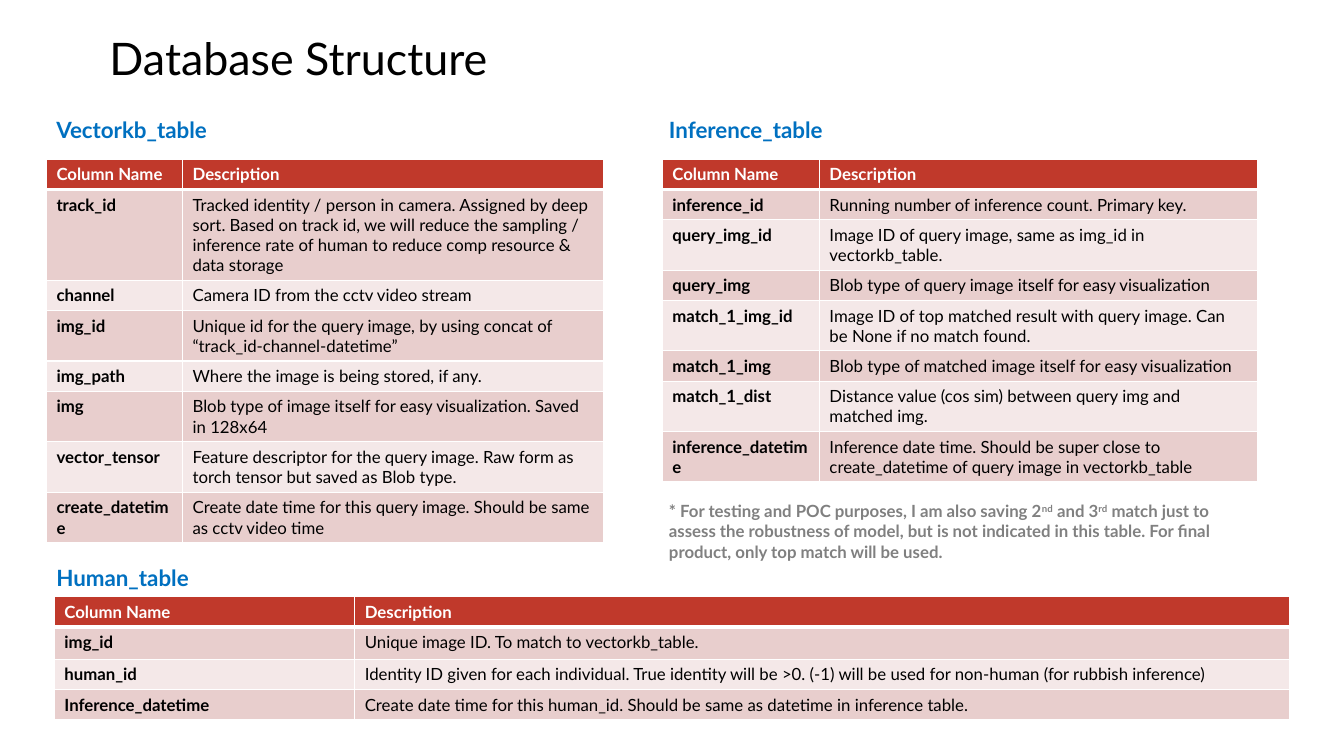
import dataclasses

import pptx
import pptx.dml.color
import pptx.enum.text
import pptx.oxml.ns
import pptx.util
import lxml.etree

Cm = pptx.util.Cm


@dataclasses.dataclass(frozen=True)
class Theme:
    font: str = "Lato"
    black: str = "000000"
    white: str = "FFFFFF"
    blue: str = "0070C0"
    gray: str = "808080"
    header: str = "C0392B"
    bands: tuple = ("E8CECD", "F4E8E8")
    title_size: int = 32
    heading_size: int = 16
    body_size: int = 12
    thin: int = 1
    thick: int = 3
    cell_padding: float = 0.25
    line_height: float = 0.51


def rgb(color):
    return pptx.dml.color.RGBColor.from_string(color)


def add_text(para, text, *, font, size, color, bold=False, raised=False):
    span = para.add_run()
    span.text = text
    span.font.name = font
    span.font.size = pptx.util.Pt(size)
    span.font.bold = bold
    span.font.color.rgb = rgb(color)
    if raised:
        span.font._element.set("baseline", "30000")


class SlideBuilder:
    def __init__(self, slide, theme):
        self.slide = slide
        self.theme = theme

    def text_box(self, left, top, width, height):
        box = self.slide.shapes.add_textbox(Cm(left), Cm(top), Cm(width), Cm(height))
        box.text_frame.word_wrap = True
        return box.text_frame

    def title(self, text):
        frame = self.text_box(2.51, 0, 25.4, 2.26)
        frame.vertical_anchor = pptx.enum.text.MSO_ANCHOR.BOTTOM
        para = frame.paragraphs[0]
        para.line_spacing = 0.9
        add_text(para, text, font=self.theme.font, size=self.theme.title_size,
                 color=self.theme.black)

    def heading(self, text, left, top):
        frame = self.text_box(left, top, 7.54, 0.94)
        add_text(frame.paragraphs[0], text, font=self.theme.font,
                 size=self.theme.heading_size, color=self.theme.blue, bold=True)

    def note(self, parts, left, top, width, height):
        """Write parts in turn, every second one as superscript."""
        para = self.text_box(left, top, width, height).paragraphs[0]
        for index, part in enumerate(parts):
            add_text(para, part, font=self.theme.font, size=self.theme.body_size,
                     color=self.theme.gray, bold=True, raised=index % 2 == 1)

    def borders(self, cell, row):
        properties = cell._tc.get_or_add_tcPr()
        heavy_side = {0: "lnB", 1: "lnT"}.get(row)
        for side in ("lnL", "lnR", "lnT", "lnB"):
            weight = self.theme.thick if side == heavy_side else self.theme.thin
            line = lxml.etree.SubElement(properties, pptx.oxml.ns.qn(f"a:{side}"),
                                         w=str(pptx.util.Pt(weight)))
            fill = lxml.etree.SubElement(line, pptx.oxml.ns.qn("a:solidFill"))
            lxml.etree.SubElement(fill, pptx.oxml.ns.qn("a:srgbClr"), val=self.theme.white)

    def table(self, left, top, widths, fields):
        """Each field is a column name, its description and its height in lines."""
        theme = self.theme
        rows = [("Column Name", "Description", 1)] + fields
        heights = [theme.cell_padding + theme.line_height * lines for *_, lines in rows]
        table = self.slide.shapes.add_table(
            len(rows), len(widths), Cm(left), Cm(top),
            Cm(sum(widths)), Cm(sum(heights))).table
        for column, width in zip(table.columns, widths):
            column.width = Cm(width)
        for row, (name, description, _) in enumerate(rows):
            table.rows[row].height = Cm(heights[row])
            is_header = row == 0
            for column, text in enumerate((name, description)):
                cell = table.cell(row, column)
                self.borders(cell, row)
                cell.fill.solid()
                cell.fill.fore_color.rgb = rgb(
                    theme.header if is_header else theme.bands[(row - 1) % 2])
                add_text(cell.text_frame.paragraphs[0], text, font=theme.font,
                         size=theme.body_size, bold=is_header or column == 0,
                         color=theme.white if is_header else theme.black)


VECTOR_FIELDS = [
    ("track_id", "Tracked identity / person in camera. Assigned by deep sort. Based on "
     "track id, we will reduce the sampling / inference rate of human to reduce comp "
     "resource & data storage", 4),
    ("channel", "Camera ID from the cctv video stream", 1),
    ("img_id", "Unique id for the query image, by using concat of "
     "“track_id-channel-datetime”", 2),
    ("img_path", "Where the image is being stored, if any.", 1),
    ("img", "Blob type of image itself for easy visualization. Saved in 128x64", 2),
    ("vector_tensor", "Feature descriptor for the query image. Raw form as torch tensor "
     "but saved as Blob type.", 2),
    ("create_datetime", "Create date time for this query image. Should be same as cctv "
     "video time", 2),
]
INFERENCE_FIELDS = [
    ("inference_id", "Running number of inference count. Primary key.", 1),
    ("query_img_id", "Image ID of query image, same as img_id in vectorkb_table.", 2),
    ("query_img", "Blob type of query image itself for easy visualization", 1),
    ("match_1_img_id", "Image ID of top matched result with query image. Can be None if "
     "no match found.", 2),
    ("match_1_img", "Blob type of matched image itself for easy visualization", 1),
    ("match_1_dist", "Distance value (cos sim) between query img and matched img.", 2),
    ("inference_datetime", "Inference date time. Should be super close to "
     "create_datetime of query image in vectorkb_table", 2),
]
HUMAN_FIELDS = [
    ("img_id", "Unique image ID. To match to vectorkb_table.", 1.1),
    ("human_id", "Identity ID given for each individual. True identity will be >0. (-1) "
     "will be used for non-human (for rubbish inference)", 1),
    ("Inference_datetime", "Create date time for this human_id. Should be same as "
     "datetime in inference table.", 1),
]
NOTE_PARTS = [
    "* For testing and POC purposes, I am also saving 2", "nd", " and 3", "rd",
    " match just to assess the robustness of model, but is not indicated in this table. "
    "For final product, only top match will be used.",
]


def main():
    deck = pptx.Presentation()
    deck.slide_width, deck.slide_height = Cm(33.87), Cm(19.05)
    page = SlideBuilder(deck.slides.add_slide(deck.slide_layouts[6]), Theme())

    page.title("Database Structure")

    # Vector table, upper left
    page.heading("Vectorkb_table", 1.17, 2.79)
    page.table(1.17, 4.01, (3.43, 10.62), VECTOR_FIELDS)

    # Inference table and its note, upper right
    page.heading("Inference_table", 16.61, 2.79)
    page.table(16.69, 4.01, (3.96, 11.05), INFERENCE_FIELDS)
    page.note(NOTE_PARTS, 16.61, 12.5, 15.09, 1.8)

    # Human table, along the bottom
    page.heading("Human_table", 1.17, 14.1)
    page.table(1.37, 15.04, (7.57, 23.57), HUMAN_FIELDS)

    deck.save("out.pptx")


if __name__ == "__main__":
    main()
